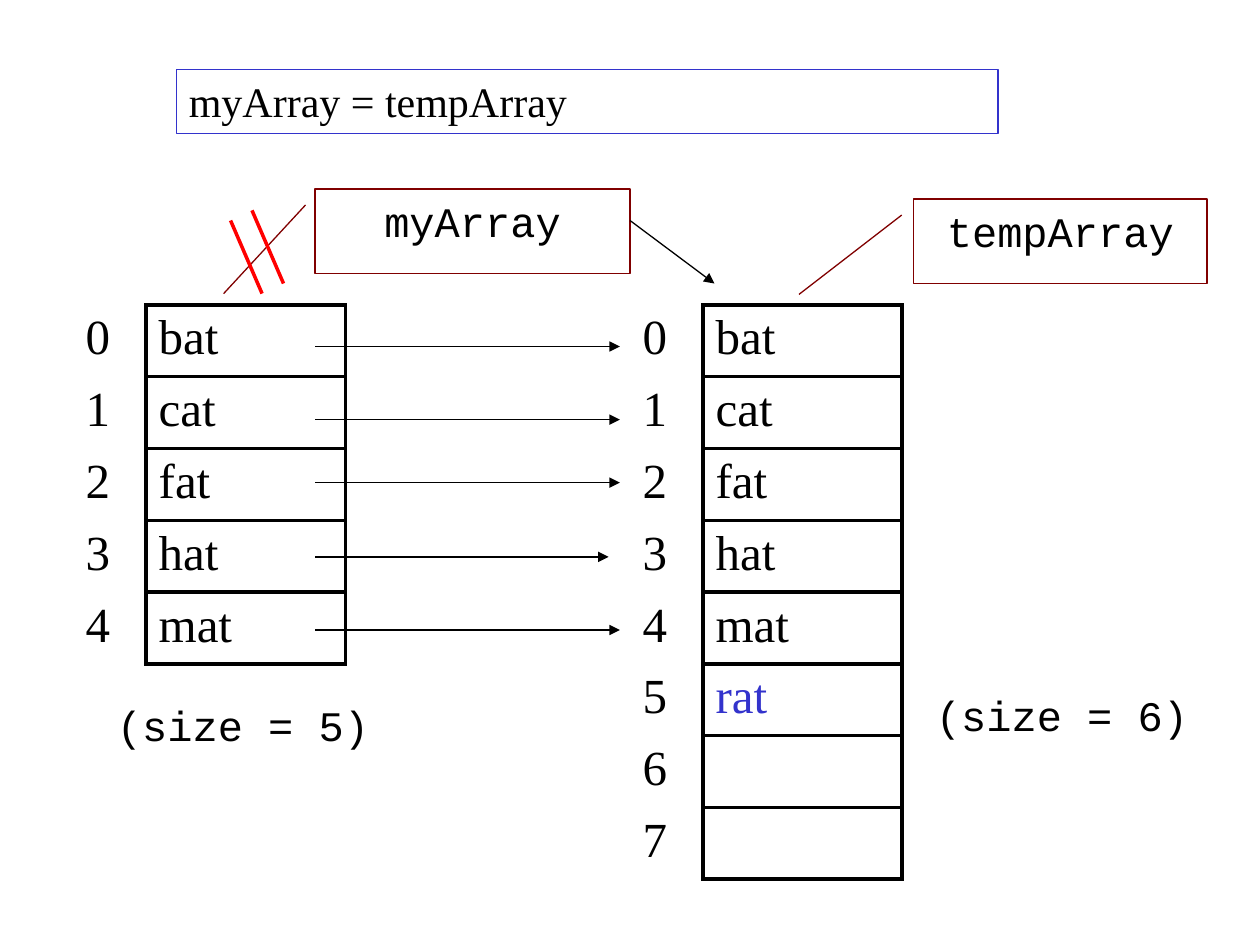
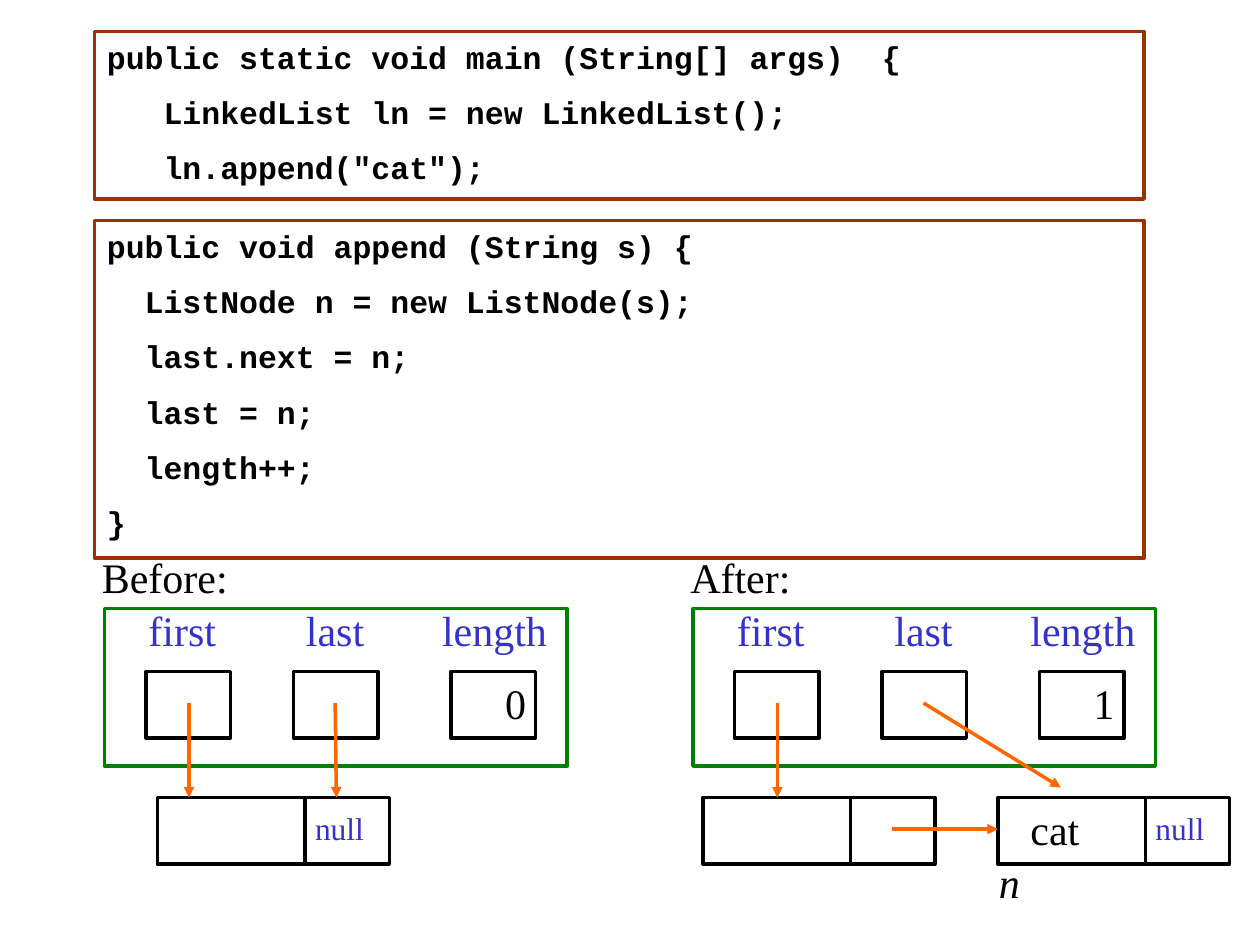
from dataclasses import dataclass

from lxml.etree import SubElement
from pptx import Presentation
from pptx.dml.color import RGBColor
from pptx.enum.shapes import MSO_CONNECTOR, MSO_SHAPE
from pptx.enum.text import MSO_ANCHOR, PP_ALIGN
from pptx.oxml.ns import qn
from pptx.util import Inches, Pt


@dataclass(frozen=True)
class Theme:
    """Colours, fonts, type sizes and line widths of the deck."""

    ink: str = "000000"
    paper: str = "FFFFFF"
    accent: str = "3333CC"
    callout: str = "800000"
    strike: str = "FF0000"
    code: str = "993300"
    panel: str = "008000"
    pointer: str = "FF6600"
    serif: str = "Times New Roman"
    mono: str = "Courier New"
    small: int = 18
    normal: int = 24
    large: int = 28
    thin: float = 0.75
    thick: float = 2
    grid: float = 2.25
    paragraph_gap: int = 10
    code_character: float = 0.15


class Sketch:
    """Draws styled elements on the current slide."""

    def __init__(self, deck, theme):
        """Keep the deck and its theme."""
        self.deck = deck
        self.theme = theme
        self.page = None

    def new_page(self):
        """Start a blank slide."""
        self.page = self.deck.slides.add_slide(self.deck.slide_layouts[6])

    def style(self, para, size, color=None, font=None, bold=False, italic=False):
        """Set the font of a whole paragraph."""
        para.font.size = Pt(size)
        para.font.name = font or self.theme.serif
        para.font.color.rgb = RGBColor.from_string(color or self.theme.ink)
        para.font.bold = bold
        para.font.italic = italic

    def label(self, text, left, top, width, height=0.5, size=None, margin=True, **font):
        """Add a line of text without an outline."""
        box = self.page.shapes.add_textbox(
            Inches(left), Inches(top), Inches(width), Inches(height))
        frame = box.text_frame
        frame.word_wrap = True
        if not margin:
            frame.margin_left = frame.margin_right = 0
            frame.margin_top = frame.margin_bottom = 0
        para = frame.paragraphs[0]
        para.text = text
        self.style(para, size or self.theme.normal, **font)

    def frame(self, left, top, width, height, color=None, weight=None,
              kind=MSO_SHAPE.RECTANGLE, shapes=None):
        """Add an outlined shape without a fill."""
        shape = (shapes or self.page.shapes).add_shape(
            kind, Inches(left), Inches(top), Inches(width), Inches(height))
        shape.shadow.inherit = False
        shape.fill.background()
        shape.line.color.rgb = RGBColor.from_string(color or self.theme.ink)
        shape.line.width = Pt(weight or self.theme.thick)
        shape.text_frame.vertical_anchor = MSO_ANCHOR.TOP
        return shape

    def heading(self, text, left, top, width, height):
        """Add the statement that the slide explains."""
        shape = self.frame(left, top, width, height, self.theme.accent, self.theme.thin)
        para = shape.text_frame.paragraphs[0]
        para.text = text
        para.alignment = PP_ALIGN.LEFT
        self.style(para, self.theme.normal)

    def callout(self, text, left, top, width, height, adjustments):
        """Add a named reference with its leader line."""
        shape = self.frame(left, top, width, height, self.theme.callout,
                           self.theme.thin, MSO_SHAPE.LINE_CALLOUT_1)
        for index, value in enumerate(adjustments):
            shape.adjustments[index] = value
        para = shape.text_frame.paragraphs[0]
        para.text = text
        para.alignment = PP_ALIGN.CENTER
        self.style(para, self.theme.normal, font=self.theme.mono)

    def code(self, lines, left, top, width, height):
        """Add a listing from pairs of indent and statement."""
        shape = self.frame(left, top, width, height, self.theme.code)
        frame = shape.text_frame
        for index, (indent, statement) in enumerate(lines):
            para = frame.add_paragraph() if index else frame.paragraphs[0]
            para.text = statement
            para.alignment = PP_ALIGN.LEFT
            para.space_before = Pt(self.theme.paragraph_gap if index else 0)
            margin = Inches(indent * self.theme.code_character)
            para._p.get_or_add_pPr().set("marL", str(margin))
            self.style(para, self.theme.small, font=self.theme.mono, bold=True)

    def line(self, start, end, color=None, weight=None, arrow=True):
        """Add a straight line that may end in an arrowhead."""
        points = [Inches(value) for value in (*start, *end)]
        connector = self.page.shapes.add_connector(MSO_CONNECTOR.STRAIGHT, *points)
        connector.line.color.rgb = RGBColor.from_string(color or self.theme.ink)
        connector.line.width = Pt(weight or self.theme.thin)
        if arrow:
            SubElement(connector.line._get_or_add_ln(), qn("a:tailEnd"), type="triangle")
        SubElement(connector._element.spPr, qn("a:effectLst"))

    def pointer(self, start, end):
        """Add a reference arrow."""
        self.line(start, end, self.theme.pointer, self.theme.thick)

    def borders(self, cell, **sides):
        """Set the colour and width of each side of a cell."""
        properties = cell._tc.get_or_add_tcPr()
        for side in "LRTB":
            color, weight = sides[side]
            edge = SubElement(properties, qn(f"a:ln{side}"), w=str(Pt(weight)))
            fill = SubElement(edge, qn("a:solidFill"))
            SubElement(fill, qn("a:srgbClr"), val=color)

    def array(self, words, left, top, new_word=None):
        """Add an indexed array as a two-column table."""
        index_width, word_width, row_height = 0.58, 1.58, 0.57
        table = self.page.shapes.add_table(
            len(words), 2, Inches(left), Inches(top),
            Inches(index_width + word_width), Inches(row_height * len(words))).table
        table.first_row = table.horz_banding = False
        table.columns[0].width = Inches(index_width)
        table.columns[1].width = Inches(word_width)
        black = (self.theme.ink, self.theme.grid)
        white = (self.theme.paper, 1)
        for row, word in enumerate(words):
            table.rows[row].height = Inches(row_height)
            for column, text in enumerate((str(row), word)):
                cell = table.cell(row, column)
                outer = black if column else white
                self.borders(cell, L=black if column else white, R=black, T=outer, B=outer)
                cell.fill.background()
                para = cell.text_frame.paragraphs[0]
                para.text = text
                fresh = text and text == new_word
                self.style(para, self.theme.large, self.theme.accent if fresh else None)

    def node(self, left, top, end=False):
        """Add a list node with a data field and a next field."""
        shapes = self.page.shapes.add_group_shape().shapes
        self.frame(left, top, 1.17, 0.53, shapes=shapes)
        self.frame(left + 1.17, top, 0.67, 0.53, shapes=shapes)
        if end:
            self.label("null", left + 1.25, top + 0.09, 0.58, 0.3, self.theme.small,
                       margin=False, color=self.theme.accent)

    def linked_list(self, caption, left, length, last_target):
        """Add a list object with its three fields and pointers."""
        self.label(caption, left - 0.12, 4.33, 2.08)
        self.frame(left, 4.83, 3.67, 1.25, self.theme.panel)
        fields = (("first", 0.25, 0.92, 0.33), ("last", 1.5, 0.92, 1.5),
                  ("length", 2.58, 1.08, 2.75))
        for name, name_left, name_width, field_left in fields:
            self.label(name, left + name_left, 4.75, name_width, color=self.theme.accent)
            self.frame(left + field_left, 5.33, 0.67, 0.53)
        self.label(length, left + 3.08, 5.33, 0.42)
        self.pointer((left + 0.67, 5.58), (left + 0.67, 6.33))
        self.pointer((left + 1.83, 5.58), last_target)


def array_slide(sketch):
    """Show the reference moving to the larger array."""
    sketch.new_page()
    theme = sketch.theme
    words = ["bat", "cat", "fat", "hat", "mat"]
    sketch.heading("myArray = tempArray", 1.4, 0.55, 6.52, 0.51)
    sketch.array(words, 0.58, 2.42)
    sketch.array(words + ["rat", "", ""], 5, 2.42, new_word="rat")
    sketch.callout("myArray", 2.5, 1.5, 2.5, 0.67, (0.19, -0.03, 1.24, -0.29))
    sketch.callout("tempArray", 7.25, 1.58, 2.33, 0.67, (0.19, -0.04, 1.13, -0.39))
    for height, end in ((2.75, 4.92), (3.33, 4.92), (3.83, 4.92), (4.42, 4.83), (5, 4.92)):
        sketch.line((2.5, height), (end, height))
    for left, top in ((2, 1.67), (1.83, 1.75)):
        sketch.line((left, top), (left + 0.25, top + 0.58), theme.strike, theme.thick,
                    arrow=False)
    sketch.line((5, 1.75), (5.67, 2.25))
    sketch.label("(size = 5)", 0.83, 5.5, 2.67, font=theme.mono)
    sketch.label("(size = 6)", 7.33, 5.42, 2.25, font=theme.mono)


def list_slide(sketch):
    """Show a linked list before and after an append."""
    sketch.new_page()
    sketch.code([
        (0, "public static void main (String[] args)  {"),
        (3, "LinkedList ln = new LinkedList();"),
        (3, 'ln.append("cat");'),
    ], 0.75, 0.25, 8.33, 1.33)
    sketch.code([
        (0, "public void append (String s) {"),
        (2, "ListNode n = new ListNode(s);"),
        (2, "last.next = n;"),
        (2, "last = n;"),
        (2, "length++;"),
        (0, "}"),
    ], 0.75, 1.75, 8.33, 2.68)
    sketch.node(1.25, 6.33, end=True)
    sketch.node(5.58, 6.33)
    sketch.node(7.92, 6.33, end=True)
    sketch.linked_list("Before:", 0.83, "0", (2.67, 6.33))
    sketch.linked_list("After:", 5.5, "1", (8.42, 6.25))
    sketch.pointer((7.08, 6.58), (7.92, 6.58))
    sketch.label("n", 7.83, 6.75, 0.33, italic=True)
    sketch.label("cat", 8.08, 6.33, 0.67)


def main():
    """Build and save the deck."""
    deck = Presentation()
    deck.slide_width = Inches(10)
    deck.slide_height = Inches(7.5)
    sketch = Sketch(deck, Theme())
    array_slide(sketch)
    list_slide(sketch)
    deck.save("out.pptx")


main()
